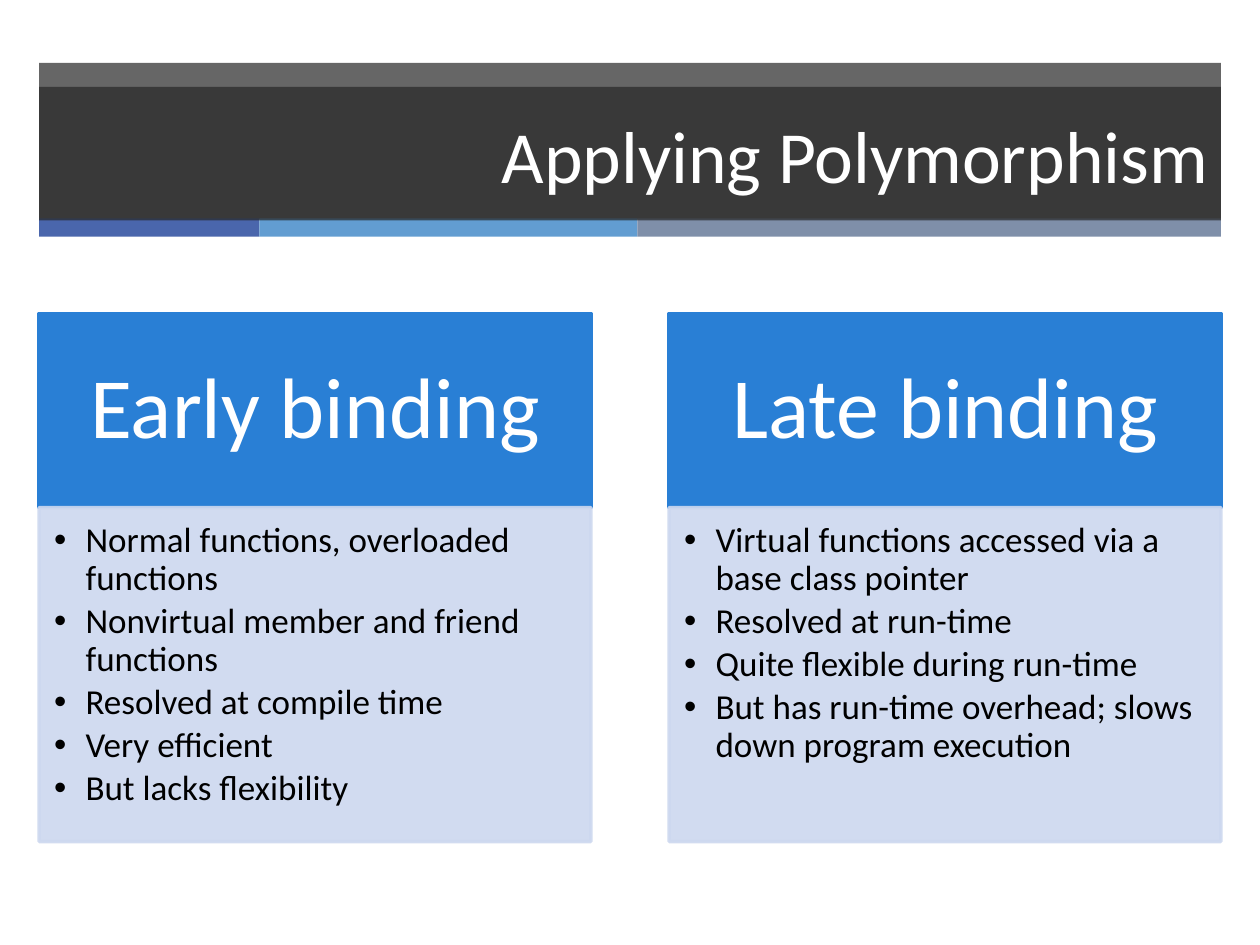
"""Build the slide that compares early and late binding."""
from lxml.etree import SubElement
from pptx import Presentation
from pptx.dml.color import RGBColor as RGB
from pptx.enum.shapes import MSO_SHAPE
from pptx.enum.text import MSO_ANCHOR as ANCHOR, MSO_AUTO_SIZE as AUTO_SIZE, PP_ALIGN as ALIGN
from pptx.oxml.ns import qn
from pptx.util import Pt

TITLE = "Applying Polymorphism"
COLUMNS = [
    ("Early binding", [
        "Normal functions, overloaded functions",
        "Nonvirtual member and friend functions",
        "Resolved at compile time",
        "Very efficient",
        "But lacks flexibility",
    ]),
    ("Late binding", [
        "Virtual functions accessed via a base class pointer",
        "Resolved at run-time",
        "Quite flexible during run-time",
        "But has run-time overhead; slows down program execution",
    ]),
]
WHITE, BLACK = RGB(0xFF, 0xFF, 0xFF), RGB(0, 0, 0)
DARK = RGB(0x26, 0x26, 0x26)
HEADER_BLUE = RGB(0x29, 0x7F, 0xD5)
PALE_BLUE = RGB(0xCD, 0xD8, 0xEF)
STRIPES = [
    (126, RGB(0x4A, 0x66, 0xAC)),
    (216, RGB(0x62, 0x9D, 0xD1)),
    (333.4, RGB(0x7F, 0x8F, 0xA9)),
]

LEFT, WIDTH = 22.3, 675.4
COLUMN_WIDTH = 315.4
HEADER_TOP, HEADER_HEIGHT, LIST_HEIGHT = 179.1, 111, 190.8

TITLE_FORMAT = dict(size=Pt(42), color=WHITE, alignment=ALIGN.RIGHT, line_spacing=1)
HEADER_FORMAT = dict(size=Pt(49), color=WHITE, alignment=ALIGN.CENTER, line_spacing=0.9)
LIST_FORMAT = dict(size=Pt(20), color=BLACK, alignment=ALIGN.LEFT, line_spacing=0.9,
                   space_after=Pt(3))


def place(shape, left, top, width, height):
    box = dict(left=left, top=top, width=width, height=height)
    for name, value in box.items():
        setattr(shape, name, Pt(value))


def paint(fill, color, opacity=100):
    fill.solid()
    fill.fore_color.rgb = color
    if opacity < 100:
        color_node = fill._xPr.find(qn("a:solidFill"))[0]
        SubElement(color_node, qn("a:alpha"), val=str(opacity * 1000))


def add_bar(slide, left, top, width, height, color, opacity=100):
    bar = slide.shapes.add_shape(MSO_SHAPE.RECTANGLE, Pt(left), Pt(top), Pt(width), Pt(height))
    bar.shadow.inherit = False
    bar.line.fill.background()
    paint(bar.fill, color, opacity)


def write(shape, lines, style, anchor, insets):
    frame = shape.text_frame
    frame.text = "\n".join(lines)
    sides = ("margin_left", "margin_top", "margin_right", "margin_bottom")
    values = dict(zip(sides, map(Pt, insets)), word_wrap=True,
                  auto_size=AUTO_SIZE.NONE, vertical_anchor=anchor)
    for name, value in values.items():
        setattr(frame, name, value)
    paragraph_format = dict(space_before=Pt(0), space_after=Pt(0))
    paragraph_format.update({k: v for k, v in style.items() if k not in ("size", "color")})
    for paragraph in frame.paragraphs:
        for name, value in paragraph_format.items():
            setattr(paragraph, name, value)
        font = paragraph.runs[0].font
        for name, value in dict(name="Calibri", size=style["size"], bold=False).items():
            setattr(font, name, value)
        font.color.rgb = style["color"]


def outline(shape, color, opacity=100):
    shape.line.width = Pt(2)
    paint(shape.line.fill, color, opacity)


presentation = Presentation()
presentation.slide_width, presentation.slide_height = Pt(720), Pt(540)
slide = presentation.slides.add_slide(presentation.slide_layouts.get_by_name("Comparison"))
title, *panels = slide.placeholders

add_bar(slide, LEFT, 36, WIDTH, 89.3, DARK, 70)
stripe_left = LEFT
for stripe_width, color in STRIPES:
    add_bar(slide, stripe_left, 124.8, stripe_width, 10.4, color)
    stripe_left += stripe_width

place(title, LEFT, 49.7, WIDTH, 76.3)
paint(title.fill, DARK, 70)
write(title, [TITLE], TITLE_FORMAT, ANCHOR.MIDDLE, (7.2, 3.6, 7.2, 3.6))
title._element.getparent().append(title._element)

for index, (heading, points) in enumerate(COLUMNS):
    header, body = panels[2 * index:2 * index + 2]
    left = LEFT + index * (WIDTH - COLUMN_WIDTH)

    place(header, left, HEADER_TOP, COLUMN_WIDTH, HEADER_HEIGHT)
    paint(header.fill, HEADER_BLUE)
    outline(header, HEADER_BLUE)
    write(header, [heading], HEADER_FORMAT, ANCHOR.MIDDLE, (27.4, 15.8, 27.4, 15.8))

    place(body, left, HEADER_TOP + HEADER_HEIGHT, COLUMN_WIDTH, LIST_HEIGHT)
    paint(body.fill, PALE_BLUE, 90)
    outline(body, PALE_BLUE, 90)
    write(body, points, LIST_FORMAT, ANCHOR.TOP, (8.6, 8.6, 11.5, 12.2))
    for paragraph in body.text_frame.paragraphs:
        properties = paragraph._p.get_or_add_pPr()
        properties.set("marL", str(Pt(18)))
        properties.set("indent", str(-Pt(18)))
        SubElement(properties, qn("a:buChar"), char="•")

presentation.save("out.pptx")
